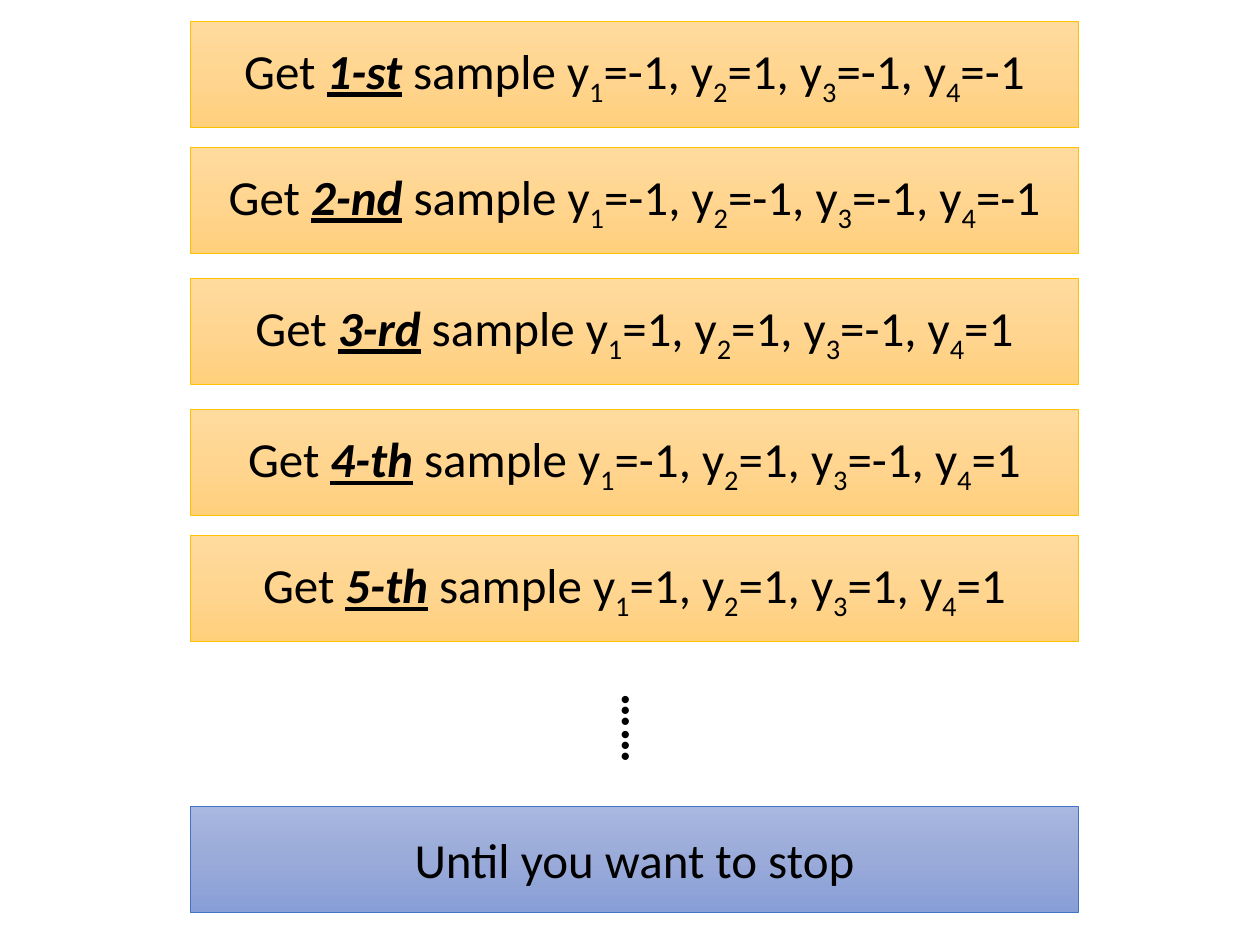
import copy
from dataclasses import dataclass

import pptx
import pptx.dml.color
import pptx.enum.shapes
import pptx.enum.text
import pptx.oxml.ns
import pptx.util

Pt = pptx.util.Pt
LEFT, WIDTH, HEIGHT = 108.72, 507.6, 60.48
BASE = {"name": "Calibri", "size": Pt(28)}
STRONG = {"bold": True, "italic": True, "underline": True}


@dataclass
class Style:
    stops: tuple[str, str, str]
    line: str


@dataclass
class Sample:
    top: float
    ordinal: str
    values: tuple[int, ...]


GOLD = Style(("FFDB9E", "FFD590", "FFD07C"), "FFC000")
BLUE = Style(("A8B7DF", "9AABD9", "889ED7"), "4472C4")
SAMPLES = [
    Sample(12.24, "1-st", (-1, 1, -1, -1)),
    Sample(84.24, "2-nd", (-1, -1, -1, -1)),
    Sample(159.12, "3-rd", (1, 1, -1, 1)),
    Sample(234, "4-th", (-1, 1, -1, 1)),
    Sample(306, "5-th", (1, 1, 1, 1)),
]


def rgb(value: str) -> pptx.dml.color.RGBColor:
    return pptx.dml.color.RGBColor.from_string(value)


def add_run(p, text: str, subscript: bool = False, **formats) -> None:
    r = p.add_run()
    r.text = text
    for name, value in (BASE | formats).items():
        setattr(r.font, name, value)
    r.font.color.rgb = rgb("000000")
    if subscript:
        r._r.get_or_add_rPr().set("baseline", "-25000")


def fill_gradient(sp, colors: tuple[str, str, str]) -> None:
    sp.fill.gradient()
    sp.fill.gradient_angle = 270  # top to bottom
    # The default gradient has two stops; add the middle one
    gs = next(sp._element.iter(pptx.oxml.ns.qn("a:gs")))
    gs.addnext(copy.deepcopy(gs))
    for stop, color, position in zip(sp.fill.gradient_stops, colors, (0, 0.5, 1)):
        stop.color.rgb = rgb(color)
        stop.position = position


def add_box(s, top: float, style: Style):
    """Draw a gradient bar and return its centred paragraph."""
    sp = s.shapes.add_shape(pptx.enum.shapes.MSO_SHAPE.RECTANGLE,
                            Pt(LEFT), Pt(top), Pt(WIDTH), Pt(HEIGHT))
    sp.shadow.inherit = False
    fill_gradient(sp, style.stops)
    sp.line.color.rgb = rgb(style.line)
    sp.line.width = Pt(0.5)
    tf = sp.text_frame
    tf.word_wrap = True
    tf.vertical_anchor = pptx.enum.text.MSO_ANCHOR.MIDDLE
    p = tf.paragraphs[0]
    p.alignment = pptx.enum.text.PP_ALIGN.CENTER
    return p


def add_sample(s, sample: Sample) -> None:
    p = add_box(s, sample.top, GOLD)
    add_run(p, "Get ")
    add_run(p, sample.ordinal, **STRONG)
    add_run(p, " ", bold=True, italic=True)
    add_run(p, "sample y")
    last = len(sample.values)
    for i, value in enumerate(sample.values, 1):
        add_run(p, str(i), subscript=True)
        add_run(p, f"={value}" + (", y" if i < last else ""))


def add_dots(s) -> None:
    sp = s.shapes.add_textbox(Pt(329.76), Pt(405.36), Pt(73.44), Pt(41.04))
    sp.rotation = 90
    tf = sp.text_frame
    tf.word_wrap = True
    tf.auto_size = pptx.enum.text.MSO_AUTO_SIZE.SHAPE_TO_FIT_TEXT
    add_run(tf.paragraphs[0], "……", bold=True)


def main() -> None:
    prs = pptx.Presentation()
    prs.slide_width, prs.slide_height = Pt(720), Pt(540)
    s = prs.slides.add_slide(prs.slide_layouts[6])

    # Samples, continuation dots, stopping rule
    for sample in SAMPLES:
        add_sample(s, sample)
    add_dots(s)
    add_run(add_box(s, 460.8, BLUE), "Until you want to stop")

    prs.save("out.pptx")


if __name__ == "__main__":
    main()
